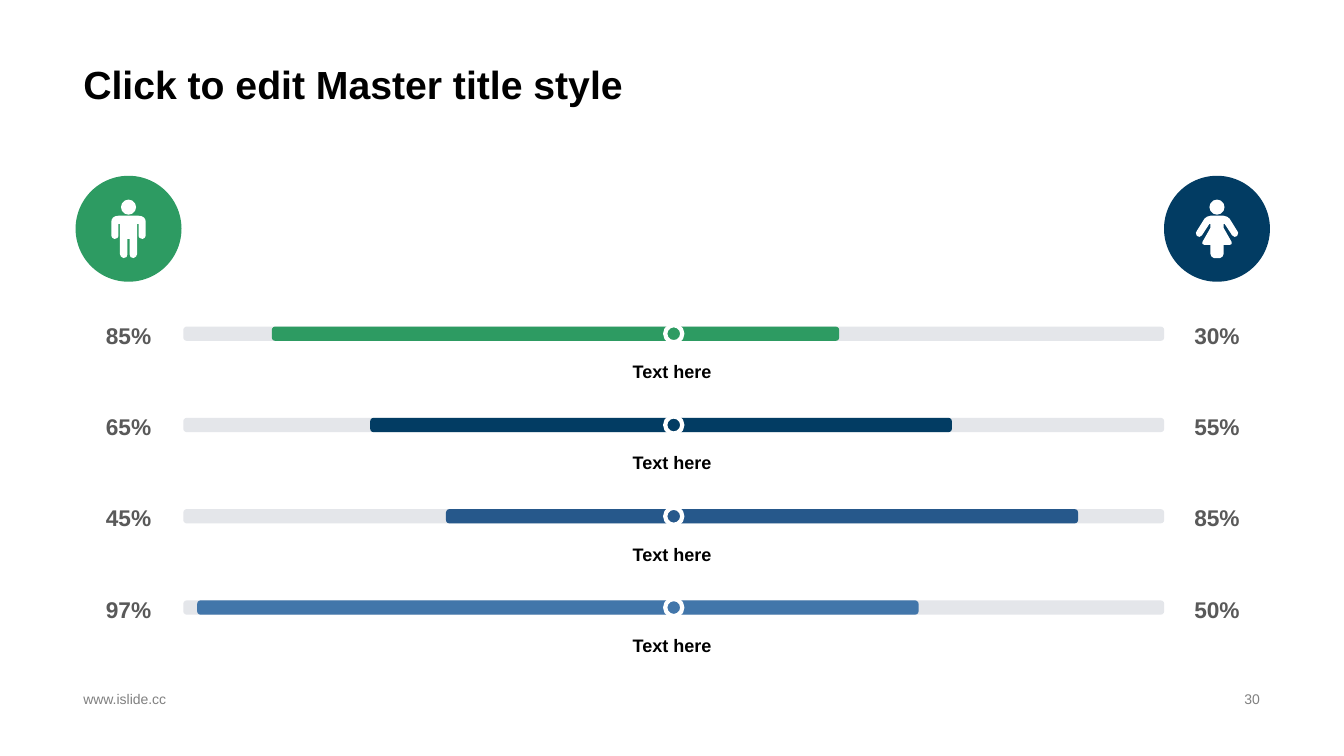
from dataclasses import dataclass

from pptx import Presentation
from pptx.dml.color import RGBColor
from pptx.enum.shapes import MSO_SHAPE
from pptx.enum.text import MSO_ANCHOR, PP_ALIGN
from pptx.util import Cm, Pt

# Content
TITLE = "Click to edit Master title style"
WEBSITE, PAGE = "www.islide.cc", "30"

# label, male share, female share, male bar length, female bar length (cm), colour
ROWS = [
    ("Text here", "85%", "30%", 10.13, 4.17, "2D9B62"),
    ("Text here", "65%", "55%", 7.65, 7.01, "023C63"),
    ("Text here", "45%", "85%", 5.74, 10.19, "26588B"),
    ("Text here", "97%", "50%", 12.01, 6.17, "4276AA"),
]

# Right half of each body outline, in hundredths of an inch from the icon's top centre
MAN = [(0, 16), (10, 16), (13, 16.5), (15.5, 18), (16.7, 20), (17, 22), (17, 36),
       (16, 38), (14, 39), (12, 38.5), (10.5, 37.5), (10, 36), (10, 24), (8.5, 24),
       (8.5, 54), (7.5, 56.5), (5, 58), (2, 57), (1, 54), (1, 39), (0, 39)]
WOMAN = [(0, 16), (6.5, 16), (10, 17), (12.5, 19), (20, 31), (21, 33), (20, 36),
         (17.5, 37), (15, 35.5), (7.5, 24), (6.5, 24), (6.5, 28), (14.5, 42),
         (14.5, 44), (12.5, 45), (6.5, 45), (6.5, 54), (5.5, 56.5), (3, 58), (0, 58)]


@dataclass(frozen=True)
class Theme:
    font: str = "Arial"
    male: str = "2D9B62"
    female: str = "023C63"
    track: str = "E4E6EA"
    white: str = "FFFFFF"
    ink: str = "000000"
    share: str = "595959"
    footer: str = "808080"
    title_size: float = 28
    share_size: float = 16.2
    label_size: float = 12.9
    footer_size: float = 10


theme = Theme()

# Layout, in cm
SLIDE_W, SLIDE_H = 33.87, 19.05
MARGIN, CONTENT_W = 1.85, 30.15
TRACK_W, BAR_H = 12.36, 0.36
AXIS = 16.98
FIRST_ROW, ROW_PITCH = 8.23, 2.3
DOT, BADGE, BADGE_TOP = 0.43, 2.67, 4.43
HEAD, ICON_TOP, ICON_UNIT = 0.38, 5.03, 0.0254
MALE_X, FEMALE_X = 3.24, 30.67

presentation = Presentation()
presentation.slide_width, presentation.slide_height = Cm(SLIDE_W), Cm(SLIDE_H)
slide = presentation.slides.add_slide(presentation.slide_layouts[6])


def paint(shape, color):
    shape.shadow.inherit = False
    shape.fill.solid()
    shape.fill.fore_color.rgb = RGBColor.from_string(color)
    shape.line.fill.background()
    return shape


def add_text(words, left, top, width, height, size, color, bold=True,
             align=PP_ALIGN.CENTER, anchor=MSO_ANCHOR.MIDDLE, wrap=False):
    frame = slide.shapes.add_textbox(Cm(left), Cm(top), Cm(width), Cm(height)).text_frame
    frame.word_wrap = wrap
    frame.vertical_anchor = anchor
    paragraph = frame.paragraphs[0]
    paragraph.text = words
    paragraph.alignment = align
    paragraph.font.name = theme.font
    paragraph.font.size = Pt(size)
    paragraph.font.bold = bold
    paragraph.font.color.rgb = RGBColor.from_string(color)
    return paragraph


def add_bar(left, top, width, color):
    bar = slide.shapes.add_shape(MSO_SHAPE.ROUNDED_RECTANGLE,
                                 Cm(left), Cm(top), Cm(width), Cm(BAR_H))
    bar.adjustments[0] = 0.24
    paint(bar, color)


def add_circle(center_x, top, size, color):
    return paint(slide.shapes.add_shape(MSO_SHAPE.OVAL, Cm(center_x - size / 2), Cm(top),
                                        Cm(size), Cm(size)), color)


def add_person(center_x, half_body, color):
    add_circle(center_x, BADGE_TOP, BADGE, color)
    add_circle(center_x, ICON_TOP, HEAD, theme.white)
    outline = half_body + [(-x, y) for x, y in reversed(half_body)]
    points = [(Cm(center_x + x * ICON_UNIT), Cm(ICON_TOP + y * ICON_UNIT))
              for x, y in outline]
    builder = slide.shapes.build_freeform(*points[0])
    builder.add_line_segments(points[1:], close=True)
    paint(builder.convert_to_shape(), theme.white)


# Title and footer
title = add_text(TITLE, MARGIN, 0, CONTENT_W, 2.84, theme.title_size, theme.ink,
                 align=PP_ALIGN.LEFT, anchor=MSO_ANCHOR.BOTTOM, wrap=True)
title.line_spacing = 0.9
for words, left, width, align in [(WEBSITE, MARGIN, 11.5, PP_ALIGN.LEFT),
                                  (PAGE, 23.92, 8.08, PP_ALIGN.RIGHT)]:
    add_text(words, left, 17.32, width, 0.58, theme.footer_size, theme.footer,
             bold=False, align=align, wrap=True)

# Male and female badges
add_person(MALE_X, MAN, theme.male)
add_person(FEMALE_X, WOMAN, theme.female)

# Comparison rows
for index, (label, male, female, male_bar, female_bar, color) in enumerate(ROWS):
    top = FIRST_ROW + index * ROW_PITCH
    add_bar(AXIS - TRACK_W, top, TRACK_W, theme.track)
    add_bar(AXIS, top, TRACK_W, theme.track)
    add_bar(AXIS - male_bar, top, male_bar, color)
    add_bar(AXIS, top, female_bar, color)

    dot = add_circle(AXIS, top + (BAR_H - DOT) / 2, DOT, color)
    dot.line.color.rgb = RGBColor.from_string(theme.white)
    dot.line.width = Pt(3)

    for share, center_x in [(male, MALE_X), (female, FEMALE_X)]:
        add_text(share, center_x - 1.08, top - 0.2, 2.16, 0.84,
                 theme.share_size, theme.share)
    add_text(label, AXIS - 1.43, top + 0.73, 2.77, 0.71, theme.label_size, theme.ink,
             anchor=MSO_ANCHOR.TOP)

presentation.save("out.pptx")
